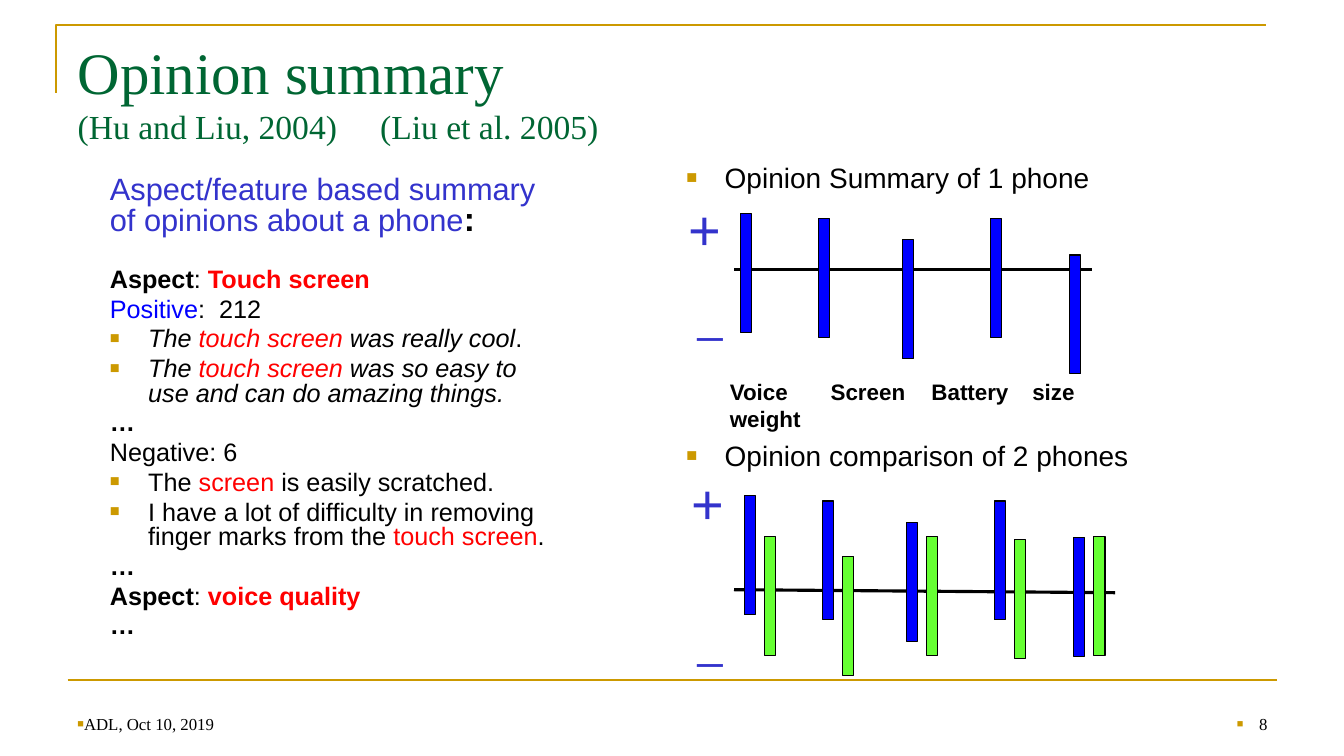
from dataclasses import dataclass
from lxml.etree import SubElement as Sub
from pptx import Presentation
from pptx.dml.color import RGBColor as RGB
from pptx.enum.shapes import MSO_CONNECTOR as Conn, MSO_SHAPE as Shape
from pptx.enum.text import MSO_ANCHOR as Anchor, MSO_AUTO_SIZE as Auto, PP_ALIGN as Align
from pptx.oxml.ns import qn
from pptx.util import Inches, Pt


@dataclass(frozen=True)
class Theme:
    """Hold the colours, fonts and type sizes of the deck."""
    gold: str = "CC9900"
    pine: str = "006633"
    ink: str = "000000"
    iris: str = "3333CC"
    blue: str = "0000FF"
    lime: str = "66FF33"
    red: str = "FF0000"
    sans: str = "Arial"
    serif: str = "Times New Roman"
    title: int = 42
    cite: int = 24
    lead: int = 22
    head: int = 20
    body: int = 18
    label: int = 16
    foot: int = 12
    plus: int = 40
    minus: int = 32


T = Theme()
HANG = 0.38


def style(run, color=T.ink, **form):
    """Give a run its colour and font format."""
    for key, value in ({"name": T.sans} | form).items():
        setattr(run.font, key, Pt(value) if key == "size" else value)
    run.font.color.rgb = RGB.from_string(color)


def write(para, runs, hang=0, bullet=False, tabs=(), **form):
    """Fill a paragraph with runs, bullet, tab stops and spacing."""
    props = para._p.get_or_add_pPr()
    props.set("marL", str(Inches(hang)))
    props.set("indent", str(-Inches(hang)))
    if bullet:
        Sub(Sub(props, qn("a:buClr")), qn("a:srgbClr"), val=T.gold)
        Sub(props, qn("a:buSzPct"), val="65000")
        Sub(props, qn("a:buFont"), typeface=T.sans)
        Sub(props, qn("a:buChar"), char="■")
    else:
        Sub(props, qn("a:buNone"))
    if tabs:
        stops = Sub(props, qn("a:tabLst"))
        for stop in tabs:
            Sub(stops, qn("a:tab"), pos=str(Inches(stop)), algn="l")
    for key, value in ({"space_before": Pt(0)} | form).items():
        setattr(para, key, value)
    for words, look in runs:
        run = para.add_run()
        run.text = words
        style(run, **look)


def place(shape, box):
    """Move a shape to a box in inches."""
    for key, value in zip(("left", "top", "width", "height"), box):
        setattr(shape, key, Inches(value))


def frame(shape, anchor=Anchor.TOP):
    """Set up the text frame of a shape and return it."""
    text = shape.text_frame
    for key, value in {"word_wrap": True, "auto_size": Auto.NONE,
                       "vertical_anchor": anchor}.items():
        setattr(text, key, value)
    return text


def note(slide, box, words, look, anchor=Anchor.TOP, **form):
    """Add a text box with one paragraph."""
    shape = slide.shapes.add_textbox(*map(Inches, box))
    write(frame(shape, anchor).paragraphs[0], [(words, look)], **form)


def rule(slide, start, end, color, width):
    """Draw a straight line without shadow."""
    line = slide.shapes.add_connector(Conn.STRAIGHT, *map(Inches, start + end))
    line.line.color.rgb = RGB.from_string(color)
    line.line.width = Pt(width)
    Sub(line._element.spPr, qn("a:effectLst"))


def trim(slide, box):
    """Draw the gold corner and the line above the footer."""
    left, top, width, height = box
    path = slide.shapes.build_freeform(Inches(left), Inches(top + 0.67), scale=1.0)
    path.add_line_segments([(Inches(left), Inches(top)),
                            (Inches(left + width), Inches(top))], close=False)
    corner = path.convert_to_shape()
    corner.shadow.inherit = False
    corner.fill.background()
    corner.line.color.rgb = RGB.from_string(T.gold)
    corner.line.width = Pt(1.5)
    low = top + height
    rule(slide, (left + 0.11, low), (left + width + 0.11, low), T.gold, 1.5)


def title(slide, box):
    """Write the title with its two citations."""
    shape = slide.shapes.title
    place(shape, box)
    para = frame(shape, Anchor.MIDDLE).paragraphs[0]
    look = {"color": T.pine, "name": T.serif}
    write(para, [("Opinion summary", look | {"size": T.title})],
          tabs=[6.15], alignment=Align.LEFT)
    para.add_line_break()
    run = para.add_run()
    run.text = "(Hu and Liu, 2004)\t(Liu et al. 2005)"
    style(run, size=T.cite, **look)


def summary(slide, box):
    """Write the list of aspects with their opinions."""
    shape = slide.placeholders[1]
    place(shape, box)
    text = frame(shape)
    base = {"size": T.body, "bold": False, "italic": False}
    bold, slant = base | {"bold": True}, base | {"italic": True}
    red, hot = {"color": T.red}, bold | {"color": T.red}
    more = (False, [("…", bold)])
    lines = [
        (False, [("Aspect", bold), (": ", base), ("Touch screen", hot)]),
        (False, [("Positive", base | {"color": T.blue}), (":\u00a0 212", base)]),
        (True, [("The ", slant), ("touch screen ", slant | red),
                ("was really cool", slant), (".", base)]),
        (True, [("The ", slant), ("touch screen ", slant | red),
                ("was so easy to use and can do amazing things.", slant)]),
        more,
        (False, [("Negative: 6", base)]),
        (True, [("The ", base), ("screen", base | red),
                (" is easily scratched.", base)]),
        (True, [("I have a lot of difficulty in removing finger marks from the ", base),
                ("touch screen", base | red), (".", base)]),
        more,
        (False, [("Aspect", bold), (": ", base), ("voice quality", hot)]),
        more,
    ]
    write(text.paragraphs[0],
          [("Aspect/feature based summary of opinions about a phone",
            {"size": T.lead, "color": T.iris}),
           (":", {"size": T.cite, "bold": True})], line_spacing=0.8)
    for at, (dot, runs) in enumerate(lines):
        write(text.add_paragraph(), runs, hang=HANG, bullet=dot,
              line_spacing=0.8, space_before=Pt(4 if at else 22))


def bars(slide, spots, color):
    """Draw one series of equal bars at their top left corners."""
    for left, top in spots:
        bar = slide.shapes.add_shape(
            Shape.RECTANGLE, *map(Inches, (left, top, 0.11, 1.18)))
        bar.shadow.inherit = False
        bar.fill.solid()
        bar.fill.fore_color.rgb = RGB.from_string(color)
        bar.line.color.rgb = RGB.from_string(T.ink)
        bar.line.width = Pt(0.75)


def graph(slide, box, head, axis, signs, shift=0, rival=()):
    """Draw a headed bar figure with axis, signs and one or two series."""
    left, top, width, height = box
    note(slide, (left, top, width, 0.44), head, {"size": T.head},
         hang=HANG, bullet=True)
    start, end = [(left + x, top + y) for x, y in axis]
    rule(slide, start, end, T.ink, 2.25)
    for sign, size, (x, y) in zip("+_", (T.plus, T.minus), signs):
        note(slide, (left + x, top + y, 0.75, 0.77), sign,
             {"size": size, "color": T.iris})
    cols = [left + shift + x for x in (0.63, 1.41, 2.24, 3.11, 3.9)]
    tops = [top + shift + y for y in (0.58, 0.63, 0.84, 0.63, 0.99)]
    bars(slide, zip(cols, tops), T.blue)
    bars(slide, [(x + 0.2, top + y) for x, y in zip(cols, rival)], T.lime)


def footer(slide, box):
    """Write the date line and the page number."""
    left, top, width, height = box
    look = {"size": T.foot, "name": T.serif}
    note(slide, (left, top, 8.11, height), "ADL, Oct 10, 2019", look,
         Anchor.BOTTOM, bullet=True)
    note(slide, (left + width - 3.11, top, 3.11, height), "8", look,
         Anchor.BOTTOM, bullet=True, hang=0.22, alignment=Align.RIGHT)


def main():
    """Build the slide and save it."""
    deck = Presentation()
    deck.slide_width, deck.slide_height = Inches(13.33), Inches(7.5)
    slide = deck.slides.add_slide(deck.slide_layouts[1])
    trim(slide, (0.56, 0.25, 12, 6.5))
    title(slide, (0.67, 0.28, 10.84, 1.25))
    summary(slide, (0.99, 1.7, 4.54, 4.87))
    graph(slide, (6.71, 1.54, 4.36, 2.6), "Opinion Summary of 1 phone",
          [(0.57, 1.13), (4.12, 1.13)], [(0.02, 0.34), (0.11, 1.27)])
    note(slide, (7.14, 3.7, 4.09, 0.53), "Voice\tScreen\tBattery\tsize\tweight",
         {"size": T.label, "bold": True}, tabs=[0.7, 1.62, 2.5, 3.11])
    graph(slide, (6.71, 4.3, 4.8, 2.4), "Opinion comparison of 2 phones",
          [(0.57, 1.55), (4.35, 1.58)], [(0.05, 0.3), (0.11, 1.74)],
          shift=0.04, rival=(1.02, 1.22, 1.02, 1.05, 1.02))
    footer(slide, (0.67, 6.83, 12, 0.5))
    deck.save("out.pptx")


if __name__ == "__main__":
    main()
